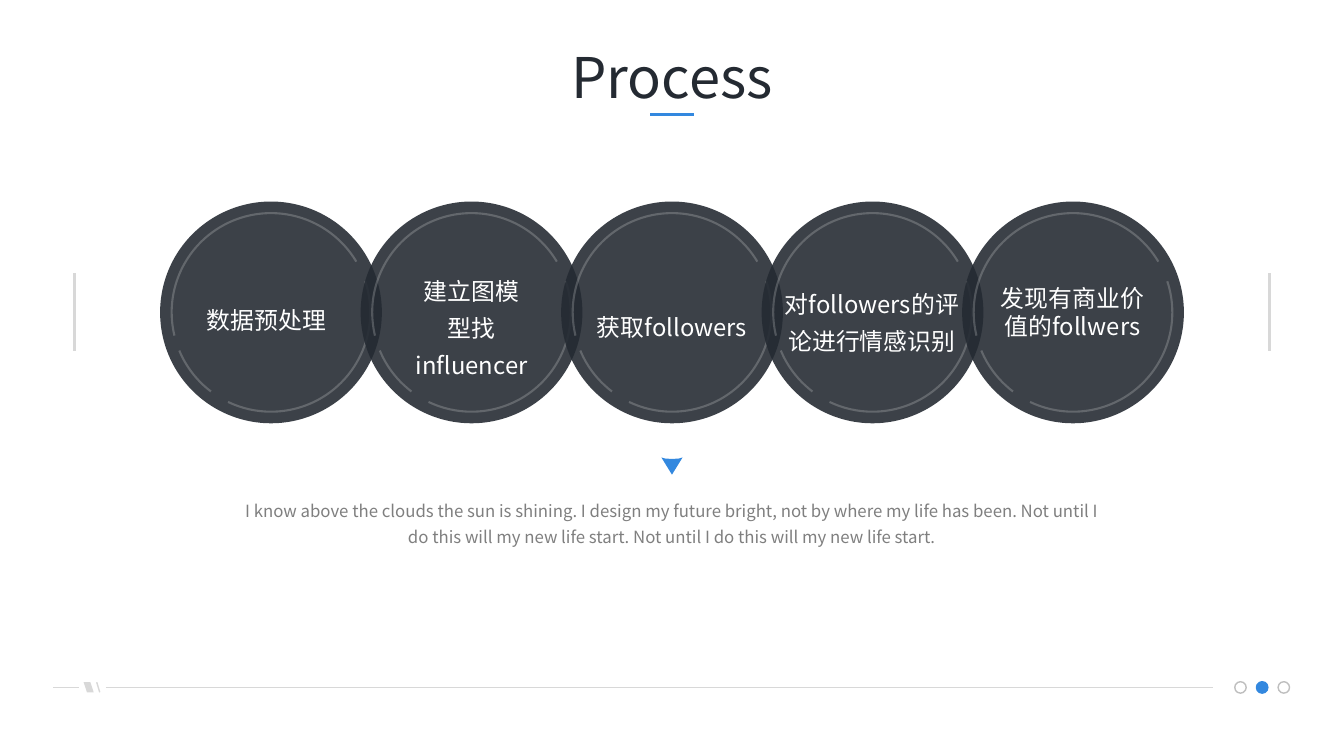
"""Build the Process slide: five overlapping steps in a row."""
from dataclasses import dataclass

from pptx import Presentation
from pptx.dml.color import RGBColor
from pptx.enum.shapes import MSO_CONNECTOR, MSO_SHAPE
from pptx.enum.text import MSO_ANCHOR, MSO_AUTO_SIZE, PP_ALIGN
from pptx.oxml.ns import qn
from pptx.util import Inches, Pt
from lxml import etree

OVAL, ARC, ROUNDED = MSO_SHAPE.OVAL, MSO_SHAPE.ARC, MSO_SHAPE.ROUNDED_RECTANGLE
SLANT, STRAIGHT = MSO_SHAPE.PARALLELOGRAM, MSO_CONNECTOR.STRAIGHT
TOP, MIDDLE, CENTER = MSO_ANCHOR.TOP, MSO_ANCHOR.MIDDLE, PP_ALIGN.CENTER
GROW, FIXED = MSO_AUTO_SIZE.SHAPE_TO_FIT_TEXT, MSO_AUTO_SIZE.NONE
COLUMNS, MIDDLE_COLUMN = 160, 80


@dataclass(frozen=True)
class Theme:
    """Colours, type sizes and line widths of the slide."""
    font: str = "Noto Sans CJK SC"
    ink: str = "242A32"
    accent: str = "3388DF"
    white: str = "FFFFFF"
    caption: str = "7F7F7F"
    rule: str = "D8D8D8"
    ring: str = "BFBFBF"
    title_size: int = 40
    label_size: int = 17
    caption_size: int = 12
    loose: float = 1.3
    thin: float = 1
    medium: float = 1.5
    thick: float = 2


class SlideBuilder:
    """Draw elements on one slide, placed on a square grid of 160 by 90 cells."""

    def __init__(self, deck, theme):
        """Add a title-only page to the deck."""
        self.theme = theme
        self.cell = deck.slide_width / COLUMNS
        self.page = deck.slides.add_slide(deck.slide_layouts[5])

    def grid(self, *cells):
        """Turn grid cells into slide lengths."""
        return [round(cell * self.cell) for cell in cells]

    def paint(self, color_format, color, opacity=100):
        """Fill solidly with a colour, see-through below full opacity."""
        color_format.solid()
        color_format.fore_color.rgb = RGBColor.from_string(color)
        if opacity < 100:
            for node in color_format._xPr.iter(qn("a:srgbClr")):
                etree.SubElement(node, qn("a:alpha"), val=str(opacity * 1000))

    def set_text(self, box, text, size, color, anchor=TOP, fit=GROW, spacing=None):
        """Put one centred paragraph in a box."""
        frame = box.text_frame
        frame.text = text
        para = frame.paragraphs[0]
        span = para.runs[0]
        formats = {
            frame: {"word_wrap": True, "auto_size": fit, "vertical_anchor": anchor},
            para: {"alignment": CENTER, "line_spacing": spacing},
            span.font: {"name": self.theme.font, "size": Pt(size)},
        }
        for target, values in formats.items():
            for name, value in values.items():
                setattr(target, name, value)
        span.font.color.rgb = RGBColor.from_string(color)
        latin = span.font._element.find(qn("a:latin"))
        latin.addnext(latin.makeelement(qn("a:ea"), {"typeface": self.theme.font}))

    def title(self, text, area):
        """Move and format the title placeholder."""
        box = self.page.shapes.title
        for name, value in zip(("left", "top", "width", "height"), self.grid(*area)):
            setattr(box, name, value)
        self.set_text(box, text, self.theme.title_size, self.theme.ink)

    def text(self, text, area, size, color, **formats):
        """Add a text box."""
        box = self.page.shapes.add_textbox(*self.grid(*area))
        self.set_text(box, text, size, color, **formats)

    def shape(self, kind, area, fill=None, line=None, width=1, opacity=100, adjust=(), parent=None):
        """Add a preset shape to the page or to a group."""
        shape = (parent or self.page).shapes.add_shape(kind, *self.grid(*area))
        shape.shadow.inherit = False
        for index, value in enumerate(adjust):
            shape.adjustments[index] = value
        for color, target in ((fill, shape.fill), (line, shape.line.fill)):
            if color:
                self.paint(target, color, opacity)
            else:
                target.background()
        if line:
            shape.line.width = Pt(width)
        return shape

    def line(self, start, end, color, width):
        """Add a straight line."""
        line = self.page.shapes.add_connector(STRAIGHT, *self.grid(*start, *end))
        line.line.color.rgb = RGBColor.from_string(color)
        line.line.width = Pt(width)
        etree.SubElement(line._element.spPr, qn("a:effectLst"))

    def outline(self, points, color):
        """Add a closed filled outline."""
        corners = [self.grid(*point) for point in points]
        builder = self.page.shapes.build_freeform(*corners[0])
        builder.add_line_segments(corners[1:])
        shape = builder.convert_to_shape()
        shape.shadow.inherit = False
        self.paint(shape.fill, color)
        shape.line.fill.background()

    def step_circle(self, center):
        """Add one dark circle with three faint arcs inside."""
        group = self.page.shapes.add_group_shape()
        theme = self.theme
        self.shape(OVAL, (center - 13.2, 24, 26.4, 26.4), theme.ink, opacity=89, parent=group)
        for angles in ((99.87, 197.55), (76.31, 94.45), (205.02, 69.38)):
            self.shape(ARC, (center - 11.82, 25.38, 23.64, 23.64), line=theme.white,
                       width=theme.medium, opacity=20, adjust=angles, parent=group)


def build_steps(slide, theme):
    """Draw the circles and their labels."""
    for index in range(5):
        slide.step_circle(MIDDLE_COLUMN + (index - 2) * 23.87)
    label = (theme.label_size, theme.white)
    for text, area in (
        ("数据预处理", (20.52, 34.8, 22.44, 4.68)),
        ("建立图模型找influencer", (47.91, 31.32, 16.5, 11.76)),
        ("获取followers", (66.8, 35.64, 26.4, 6.12)),
    ):
        slide.text(text, area, *label, spacing=theme.loose)
    box = slide.shape(ROUNDED, (90.96, 32.52, 25.68, 7.2))
    slide.set_text(box, "对followers的评论进行情感识别", *label, spacing=theme.loose)
    slide.text("发现有商业价值的follwers", (117, 32.52, 21.36, 9.24), *label,
               anchor=MIDDLE, fit=FIXED)


def build_footer(slide, theme):
    """Draw the page dots, the rules and the slanted mark."""
    for index in range(3):
        current = index == 1
        slide.shape(OVAL, (147 + index * 2.58, 81.18, 1.36, 1.36),
                    fill=theme.accent if current else None,
                    line=theme.accent if current else theme.ring, width=theme.thin)
    for start, end in (((12.6, 81.84), (144.36, 81.84)), ((6.36, 81.84), (9.36, 81.84)),
                       ((11.52, 81.24), (11.88, 82.44))):
        slide.line(start, end, theme.rule, theme.thin)
    mark = slide.shape(SLANT, (9.96, 81.24, 1.2, 1.2), theme.rule, adjust=(0.33,))
    mark._element.spPr.find(qn("a:xfrm")).set("flipH", "1")


def main():
    """Build and save the deck."""
    deck = Presentation()
    deck.slide_width, deck.slide_height = Inches(13.33), Inches(7.5)
    theme = Theme()
    slide = SlideBuilder(deck, theme)
    slide.title("Process", (56.4, 4.44, 47.2, 9.24))
    slide.line((77.4, 13.68), (82.6, 13.68), theme.accent, theme.thick)
    slide.text("I know above the clouds the sun is shining. I design my future bright, "
               "not by where my life has been. Not until I do this will my new life start. "
               "Not until I do this will my new life start.",
               (26.85, 58.32, 106.3, 7.56), theme.caption_size, theme.caption,
               spacing=theme.loose)
    build_steps(slide, theme)
    for column in (8.88, COLUMNS - 8.88):
        slide.line((column, 32.52), (column, 41.76), theme.rule, theme.thick)
    build_footer(slide, theme)
    slide.outline(((80, 56.52), (81.26, 54.48), (80.84, 54.6), (80, 54.66),
                   (79.16, 54.6), (78.74, 54.48)), theme.accent)
    deck.save("out.pptx")


if __name__ == "__main__":
    main()
